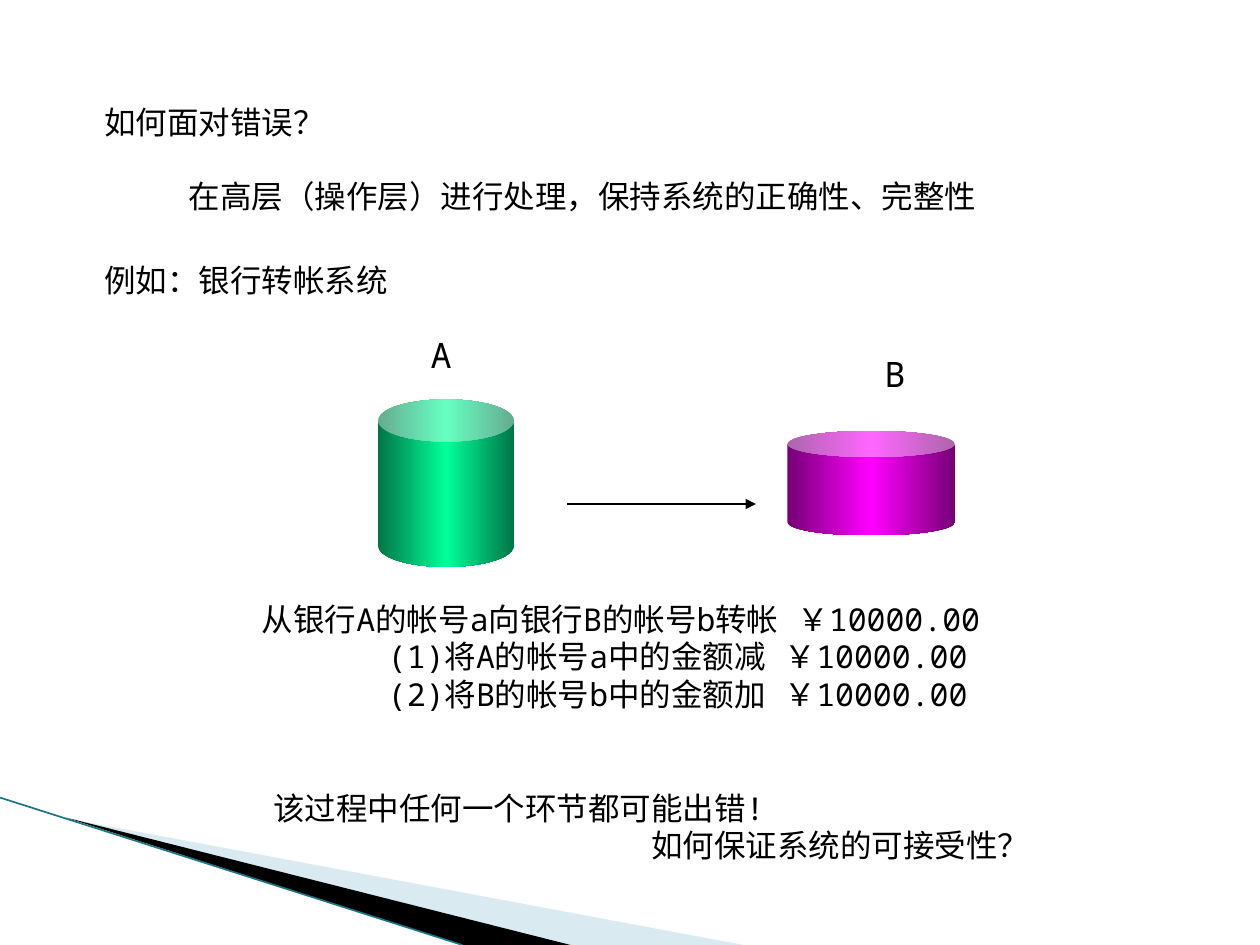
from dataclasses import dataclass

from lxml import etree
from pptx import Presentation
from pptx.dml.color import RGBColor
from pptx.enum import shapes
from pptx.oxml import ns
from pptx.util import Inches, Pt

FONT = "Noto Sans Mono"
COLOURS = {
    "ink": "000000",
    "pale": "A0CBDC",
    "edge": "1B7587",
    "green": "00FF99",
    "dark green": "007647",
    "magenta": "FF00FF",
    "dark magenta": "760076",
}


@dataclass(frozen=True)
class Line:
    wording: str
    indent: float = 0


@dataclass(frozen=True)
class TextBlock:
    left: float
    top: float
    width: float
    height: float
    lines: tuple[Line, ...]
    size: int = 18


@dataclass(frozen=True)
class Account:
    left: float
    top: float
    width: float
    height: float
    lid: float
    colour: str


@dataclass(frozen=True)
class Wedge:
    points: tuple[tuple[float, float], ...]
    colour: str
    opacity: int = 100


WEDGES = (
    Wedge(((0.55, 6.5), (5.9, 7.5), (4.53, 7.5)), "pale", 40),
    Wedge(((0.53, 6.49), (4.53, 7.5), (3.67, 7.5)), "ink"),
)
ACCOUNTS = (
    Account(3, 3.17, 1.08, 1.33, 0.31, "green"),
    Account(6.25, 3.42, 1.33, 0.83, 0.25, "magenta"),
)
TEXT_BLOCKS = (
    TextBlock(0.73, 0.77, 2.53, 0.5, (Line("如何面对错误？"),)),
    TextBlock(1.4, 1.36, 8.53, 0.5, (Line("在高层（操作层）进行处理，保持系统的正确性、完整性"),)),
    TextBlock(0.73, 2.02, 3.2, 0.5, (Line("例如：银行转帐系统"),)),
    TextBlock(3.32, 2.6, 0.4, 0.43, (Line("A"),), 20),
    TextBlock(6.92, 2.75, 0.4, 0.43, (Line("B"),), 20),
    TextBlock(1.98, 4.71, 7.35, 1.3, (
        Line("从银行A的帐号a向银行B的帐号b转帐 ￥10000.00"),
        Line("(1)将A的帐号a中的金额减 ￥10000.00", 1),
        Line("(2)将B的帐号b中的金额加 ￥10000.00", 1),
    )),
    TextBlock(2.07, 6.21, 7.2, 0.9, (
        Line("该过程中任何一个环节都可能出错!"),
        Line("如何保证系统的可接受性？", 3),
    )),
)


def rgb(name: str) -> RGBColor:
    return RGBColor.from_string(COLOURS[name])


def add_child(parent, tag: str, **attributes: str):
    return etree.SubElement(parent, ns.qn(tag), attributes)


def draw_wedge(page, wedge: Wedge) -> None:
    points = [(Inches(x), Inches(y)) for x, y in wedge.points]
    builder = page.shapes.build_freeform(*points[0])
    builder.add_line_segments(points[1:], close=True)
    shape = builder.convert_to_shape()
    shape.shadow.inherit = False
    shape.fill.solid()
    shape.fill.fore_color.rgb = rgb(wedge.colour)
    shape.line.fill.background()
    if wedge.opacity < 100:
        colour = shape.fill._xPr.find(".//" + ns.qn("a:srgbClr"))
        add_child(colour, "a:alpha", val=str(wedge.opacity * 1000))


def draw_line(page, start: tuple[float, float], end: tuple[float, float],
              colour: str, weight: float, arrow: bool = False) -> None:
    ends = [Inches(value) for value in (*start, *end)]
    line = page.shapes.add_connector(shapes.MSO_CONNECTOR.STRAIGHT, *ends)
    line.line.color.rgb = rgb(colour)
    line.line.width = Pt(weight)
    if arrow:
        add_child(line.line._get_or_add_ln(), "a:tailEnd", type="triangle")
    add_child(line._element.spPr, "a:effectLst")


def draw_account(page, account: Account) -> None:
    can = page.shapes.add_shape(
        shapes.MSO_SHAPE.CAN, Inches(account.left), Inches(account.top),
        Inches(account.width), Inches(account.height))
    can.adjustments[0] = account.lid
    can.shadow.inherit = False
    can.line.fill.background()
    can.fill.gradient()
    can.fill.gradient_angle = 0
    stops = can._element.spPr.find(".//" + ns.qn("a:gsLst"))
    for stop in list(stops):
        stops.remove(stop)
    dark = "dark " + account.colour
    for position, name in ((0, dark), (50, account.colour), (100, dark)):
        stop = add_child(stops, "a:gs", pos=str(position * 1000))
        add_child(stop, "a:srgbClr", val=COLOURS[name])


def draw_text(page, block: TextBlock) -> None:
    box = page.shapes.add_textbox(
        Inches(block.left), Inches(block.top),
        Inches(block.width), Inches(block.height))
    frame = box.text_frame
    frame.word_wrap = True
    frame.text = "\n".join(line.wording for line in block.lines)
    for para, line in zip(frame.paragraphs, block.lines):
        if line.indent:
            para._p.get_or_add_pPr().set("marL", str(Inches(line.indent)))
        for span in para.runs:
            span.font.size = Pt(block.size)
            span.font.color.rgb = rgb("ink")
            span.font.name = FONT
            add_child(span._r.get_or_add_rPr(), "a:ea", typeface=FONT)


def main() -> None:
    deck = Presentation()
    deck.slide_width, deck.slide_height = Inches(10), Inches(7.5)
    page = deck.slides.add_slide(deck.slide_layouts[6])
    for wedge in WEDGES:
        draw_wedge(page, wedge)
    draw_line(page, (0, 6.33), (3.67, 7.5), "edge", 0.95)
    for account in ACCOUNTS:
        draw_account(page, account)
    draw_line(page, (4.5, 4), (6, 4), "ink", 0.75, arrow=True)
    for block in TEXT_BLOCKS:
        draw_text(page, block)
    deck.save("out.pptx")


if __name__ == "__main__":
    main()
